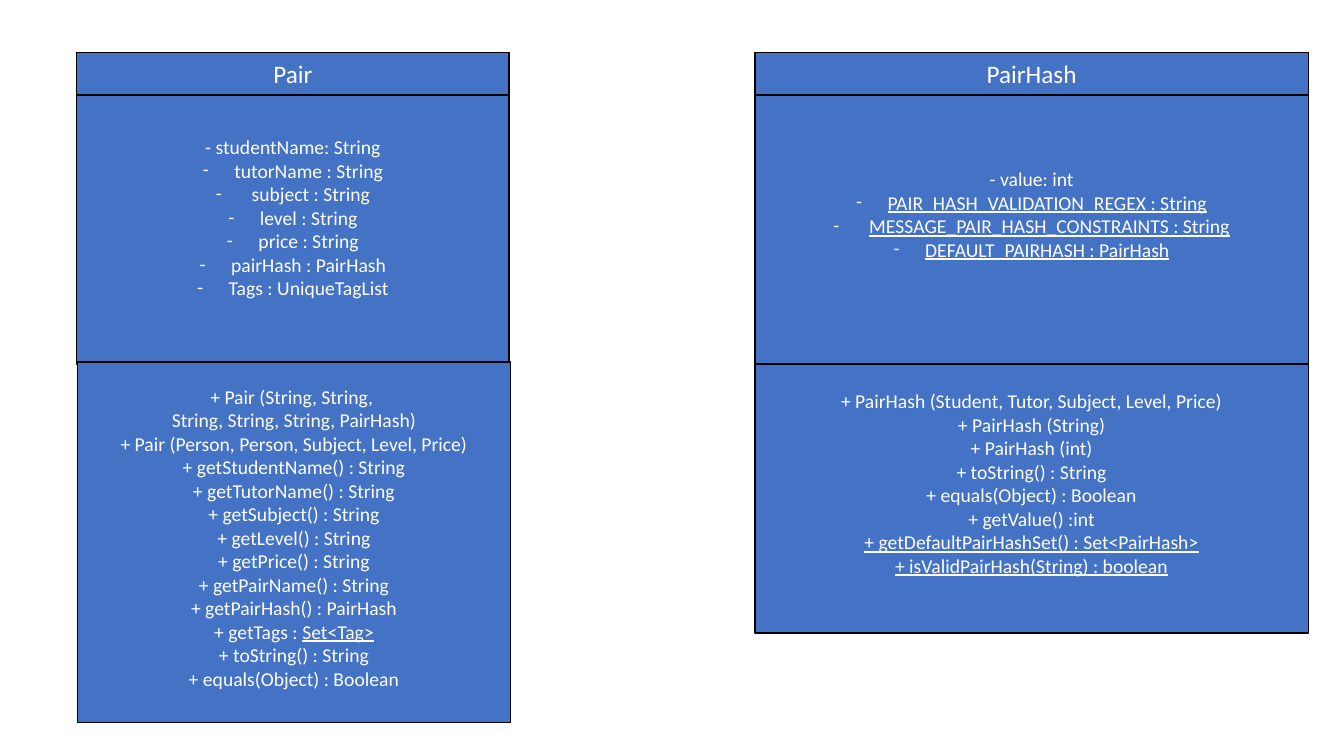
import dataclasses
import pptx
import pptx.dml.color
import pptx.enum.shapes
import pptx.enum.text
import pptx.oxml.ns
import pptx.util
import lxml.etree

Pt = pptx.util.Pt


@dataclasses.dataclass(frozen=True)
class Theme:
    """Colours, font and sizes of the class diagram."""
    fill: str = "4472C4"
    line: str = "000000"
    text: str = "FFFFFF"
    font: str = "Calibri"
    name_size: float = 18
    member_size: float = 14
    indent: float = 22.5
    inset: float = 3.6


THEME = Theme()
TOP, NAME_HEIGHT, MEMBER_HEIGHT = 37.5, 30.25, 192.25

PAIR_ATTRIBUTES = [
    "- studentName: String", "tutorName : String", " subject : String",
    "level : String", "price : String", "pairHash : PairHash",
    "Tags : UniqueTagList",
]
PAIR_METHODS = [
    "+ Pair (String, String, ", "String, String, String, PairHash)",
    "+ Pair (Person, Person, Subject, Level, Price)",
    "+ getStudentName() : String", "+ getTutorName() : String",
    "+ getSubject() : String", "+ getLevel() : String",
    "+ getPrice() : String", "+ getPairName() : String",
    "+ getPairHash() : PairHash", "+ getTags : |Set<Tag>",
    "+ toString() : String", "+ equals(Object) : Boolean",
]
HASH_ATTRIBUTES = [
    "- value: int", "|PAIR_HASH_VALIDATION_REGEX : String",
    " |MESSAGE_PAIR_HASH_CONSTRAINTS : String",
    "|DEFAULT_PAIRHASH : PairHash",
]
HASH_METHODS = [
    "+ PairHash (Student, Tutor, Subject, Level, Price)",
    "+ PairHash (String)", "+ PairHash (int)", "+ toString() : String",
    "+ equals(Object) : Boolean", "+ getValue() :int",
    "|+ getDefaultPairHashSet() : Set<PairHash>",
    "|+ isValidPairHash(String) : boolean",
]


def rgb(value):
    """Turn a hex string into a colour."""
    return pptx.dml.color.RGBColor.from_string(value)


def add_bullet(p, char="-"):
    """Give a paragraph a hanging bullet."""
    pPr = p._p.get_or_add_pPr()
    indent = Pt(THEME.indent)
    pPr.set("marL", str(indent))
    pPr.set("indent", str(-indent))
    qn = pptx.oxml.ns.qn
    lxml.etree.SubElement(pPr, qn("a:buFont"), typeface=THEME.font)
    lxml.etree.SubElement(pPr, qn("a:buChar"), char=char)


def write_line(p, text, *, size, bullet=False):
    """Write a centred line; the part after a bar is underlined."""
    p.alignment = pptx.enum.text.PP_ALIGN.CENTER
    if bullet:
        add_bullet(p)
    plain, _, static = text.partition("|")
    for part, underline in ((plain, False), (static, True)):
        if part:
            r = p.add_run()
            r.text = part
            r.font.name = THEME.font
            r.font.size = Pt(size)
            r.font.color.rgb = rgb(THEME.text)
            r.font.underline = underline


def add_compartment(s, box, lines, *, size=THEME.member_size, bullets=False,
                    space_below=0):
    """Add one box of a class; bullets apply after its first line."""
    rect = pptx.enum.shapes.MSO_SHAPE.RECTANGLE
    sp = s.shapes.add_shape(rect, *map(Pt, box))
    sp.shadow.inherit = False
    sp.fill.solid()
    sp.fill.fore_color.rgb = rgb(THEME.fill)
    sp.line.color.rgb = rgb(THEME.line)
    sp.line.width = Pt(1)
    tf = sp.text_frame
    tf.word_wrap = True
    tf.vertical_anchor = pptx.enum.text.MSO_ANCHOR.MIDDLE
    tf.margin_top = Pt(THEME.inset)
    tf.margin_bottom = Pt(THEME.inset + space_below)
    for i, line in enumerate(lines):
        p = tf.add_paragraph() if i else tf.paragraphs[0]
        write_line(p, line, size=size, bullet=bullets and i > 0)


def add_class(s, name, left, width, attributes, methods, *, attribute_space,
              method_space, method_height=MEMBER_HEIGHT, shift=(0, 0)):
    """Stack name, attributes and methods; shift moves the methods box."""
    attributes_top = TOP + NAME_HEIGHT
    methods_top = attributes_top + MEMBER_HEIGHT
    dx, dy = shift
    add_compartment(s, (left, TOP, width, NAME_HEIGHT), [name],
                    size=THEME.name_size)
    add_compartment(s, (left, attributes_top, width, MEMBER_HEIGHT),
                    attributes, bullets=True, space_below=attribute_space)
    add_compartment(s, (left + dx, methods_top + dy, width, method_height),
                    methods, space_below=method_space)


def main():
    """Build the class diagram slide."""
    prs = pptx.Presentation()
    prs.slide_width, prs.slide_height = Pt(960), Pt(540)
    s = prs.slides.add_slide(prs.slide_layouts[6])
    add_class(s, "Pair", 54.75, 309, PAIR_ATTRIBUTES, PAIR_METHODS,
              attribute_space=17, method_space=7, method_height=257.75,
              shift=(0.75, -1.5))
    add_class(s, "PairHash", 539.25, 395.25, HASH_ATTRIBUTES, HASH_METHODS,
              attribute_space=22, method_space=22)
    prs.save("out.pptx")


main()
